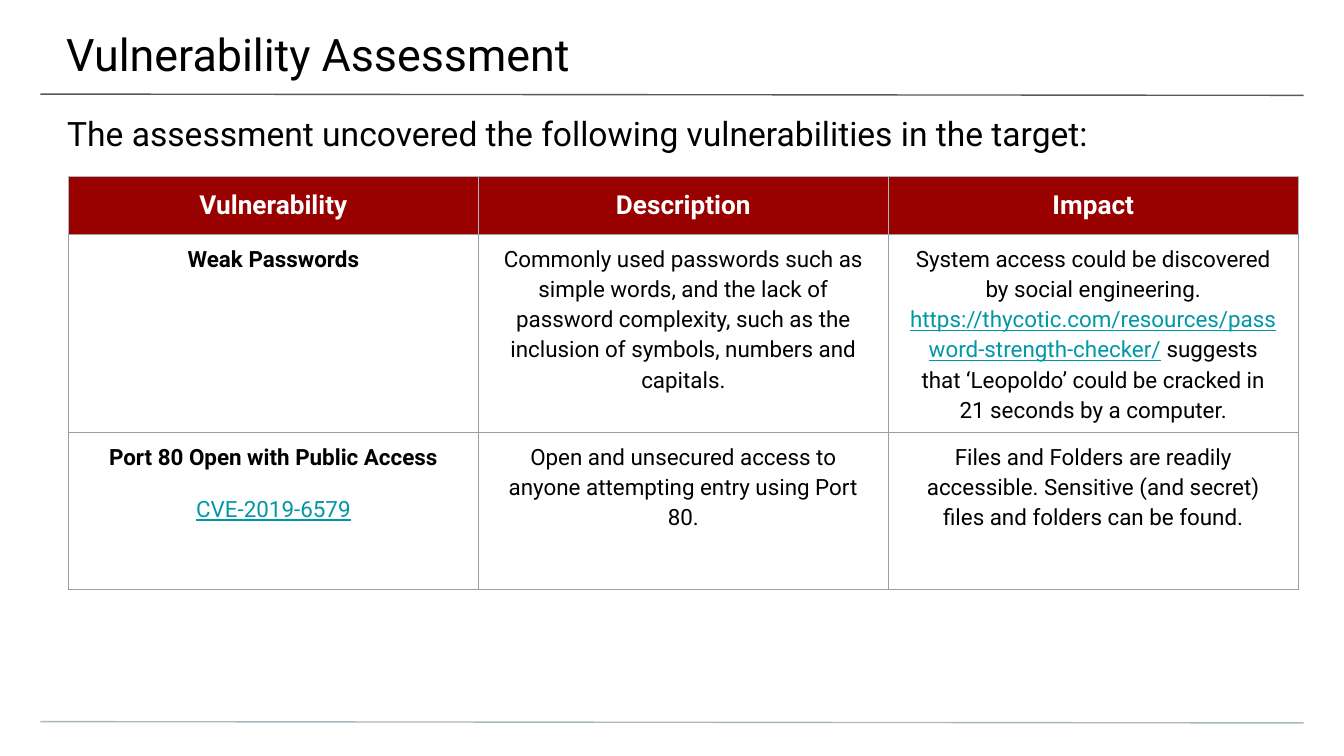
"""Build the Vulnerability Assessment slide with its table of findings."""
from lxml.etree import SubElement
from pptx import Presentation
from pptx.dml.color import RGBColor
from pptx.enum.shapes import MSO_CONNECTOR
from pptx.enum.text import MSO_ANCHOR, MSO_AUTO_SIZE, PP_ALIGN
from pptx.oxml.ns import qn
from pptx.util import Pt

FONT = "Roboto"
COLORS = {
    "text": "000000",
    "header_text": "FFFFFF",
    "header_fill": "990000",
    "header_border": "A9B7C0",
    "border": "9E9E9E",
    "link": "0097A7",
    "title_rule": "595959",
    "footer_rule": "A9B7C0",
}
HEADINGS = ["Vulnerability", "Description", "Impact"]
FINDINGS = [
    [
        [[("Weak Passwords", "bold")]],
        [[("Commonly used passwords such as simple words, and the lack of "
           "password complexity, such as the inclusion of symbols, numbers "
           "and capitals.", "plain")]],
        [[("System access could be discovered by social engineering. ", "plain"),
          ("https://thycotic.com/resources/password-strength-checker/", "link"),
          (" suggests that ‘Leopoldo’ could be cracked in 21 seconds by a "
           "computer.", "plain")]],
    ],
    [
        [[("Port 80 Open with Public Access", "bold")],
         [("CVE-2019-6579", "link")]],
        [[("Open and unsecured access to anyone attempting entry using "
           "Port 80.", "plain")]],
        [[("Files and Folders are readily accessible. Sensitive (and secret) "
           "files and folders can be found.", "plain")]],
    ],
]
COLUMN_WIDTH = 219.6
ROW_HEIGHTS = [30.4, 83.5, 84.2]


def rgb(name):
    return RGBColor.from_string(COLORS[name])


def style_run(run, size, color, bold=False, underline=False):
    run.font.name = FONT
    run.font.size = Pt(size)
    run.font.color.rgb = rgb(color)
    run.font.bold = bold
    run.font.underline = underline


def set_margins(target, left, top, right, bottom):
    target.margin_left, target.margin_top = Pt(left), Pt(top)
    target.margin_right, target.margin_bottom = Pt(right), Pt(bottom)


def fill_placeholder(placeholder, text, size, bounds, margins):
    left, top, width, height = bounds
    placeholder.left, placeholder.top = Pt(left), Pt(top)
    placeholder.width, placeholder.height = Pt(width), Pt(height)
    frame = placeholder.text_frame
    frame.text = text
    frame.word_wrap = True
    frame.auto_size = MSO_AUTO_SIZE.NONE
    frame.vertical_anchor = MSO_ANCHOR.TOP
    set_margins(frame, *margins)
    line = frame.paragraphs[0]
    line.alignment = PP_ALIGN.LEFT
    line.space_before = Pt(0)
    style_run(line.runs[0], size, "text")


def add_rule(slide, top, color):
    rule = slide.shapes.add_connector(
        MSO_CONNECTOR.STRAIGHT, Pt(21.6), Pt(top), Pt(698.4), Pt(top + 0.7))
    rule.line.color.rgb = rgb(color)
    rule.line.width = Pt(0.75)
    SubElement(rule._element.spPr, qn("a:effectLst"))


def set_borders(cell, colors):
    properties = cell._tc.get_or_add_tcPr()
    for side, color in zip("LRTB", colors):
        border = SubElement(properties, qn(f"a:ln{side}"), w=str(Pt(0.75)))
        fill = SubElement(border, qn("a:solidFill"))
        SubElement(fill, qn("a:srgbClr"), val=COLORS[color])


def write_heading(cell, heading):
    set_borders(cell, ["header_border"] * 3 + ["border"])
    cell.fill.solid()
    cell.fill.fore_color.rgb = rgb("header_fill")
    cell.vertical_anchor = MSO_ANCHOR.MIDDLE
    set_margins(cell, 14.4, 7.2, 14.4, 7.2)
    cell.text_frame.text = heading
    line = cell.text_frame.paragraphs[0]
    line.alignment = PP_ALIGN.CENTER
    style_run(line.runs[0], 14, "header_text", bold=True)


def write_finding(cell, paragraphs, top_border):
    set_borders(cell, ["border", "border", top_border, "border"])
    cell.fill.background()
    cell.vertical_anchor = MSO_ANCHOR.TOP
    set_margins(cell, 10, 4.5, 10, 4.5)
    frame = cell.text_frame
    for index, parts in enumerate(paragraphs):
        line = frame.add_paragraph() if index else frame.paragraphs[0]
        line.alignment = PP_ALIGN.CENTER
        line.line_spacing = 1.15
        line.space_before = Pt(12 if index else 0)
        line.space_after = Pt(12 if index == len(paragraphs) - 1 else 0)
        for text, kind in parts:
            run = line.add_run()
            run.text = text
            is_link = kind == "link"
            style_run(run, 12, "link" if is_link else "text",
                      bold=kind == "bold", underline=is_link)


def add_findings_table(slide):
    table = slide.shapes.add_table(
        len(FINDINGS) + 1, len(HEADINGS), Pt(36.7), Pt(94.6),
        Pt(COLUMN_WIDTH * len(HEADINGS)), Pt(sum(ROW_HEIGHTS))).table
    table.first_row = False
    table.horz_banding = False
    for column in table.columns:
        column.width = Pt(COLUMN_WIDTH)
    for row, height in zip(table.rows, ROW_HEIGHTS):
        row.height = Pt(height)
    for column, heading in enumerate(HEADINGS):
        write_heading(table.cell(0, column), heading)
    for row, finding in enumerate(FINDINGS, start=1):
        for column, paragraphs in enumerate(finding):
            write_finding(table.cell(row, column), paragraphs, "border")


def main():
    presentation = Presentation()
    presentation.slide_width, presentation.slide_height = Pt(720), Pt(405)
    slide = presentation.slides.add_slide(presentation.slide_layouts[0])
    add_rule(slide, 50.4, "title_rule")
    add_rule(slide, 386.6, "footer_rule")
    fill_placeholder(slide.shapes.title, "Vulnerability Assessment", 24,
                     (-0.5, 0, 722, 42), (36, 14.4, 21.6, 7.2))
    fill_placeholder(
        slide.placeholders[1],
        "The assessment uncovered the following vulnerabilities in the target:",
        18, (0, 53.5, 720, 28.8), (36, 7.2, 36, 0))
    add_findings_table(slide)
    presentation.save("out.pptx")


if __name__ == "__main__":
    main()
